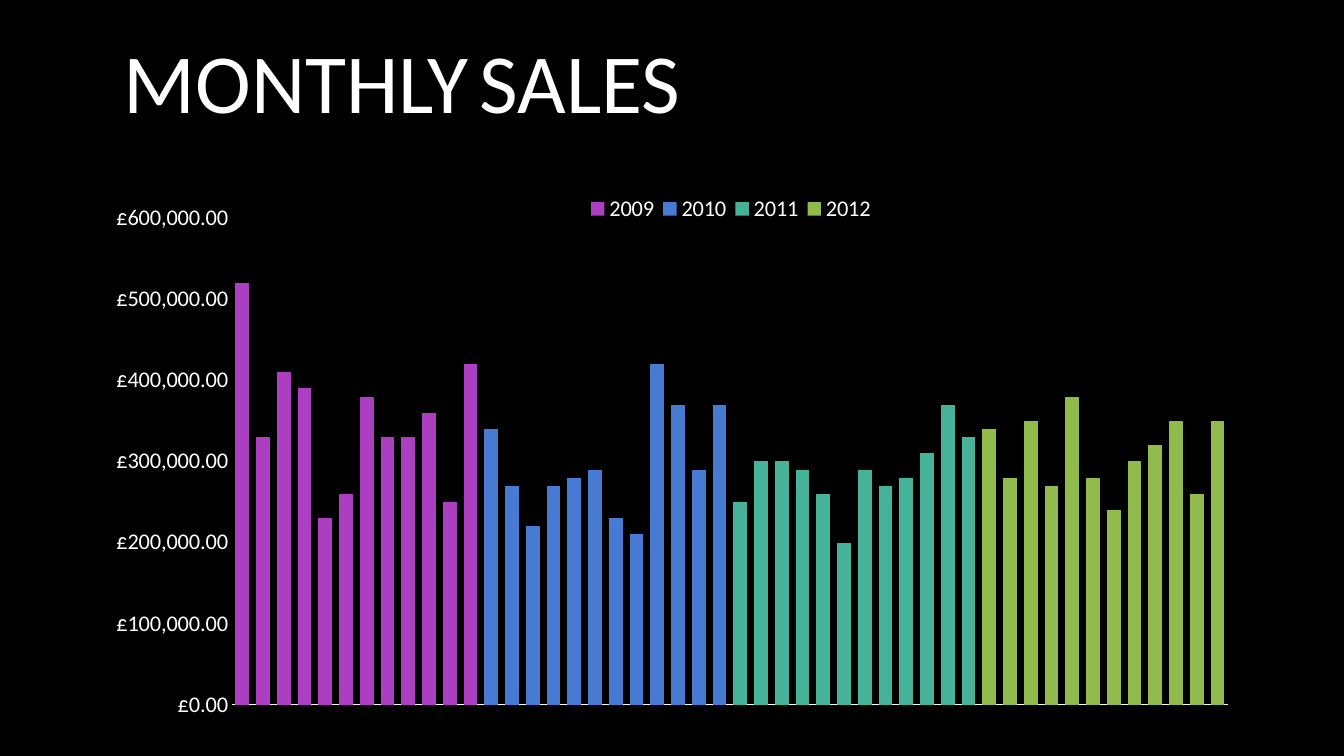
import pptx
import pptx.chart.data
import pptx.dml.color
import pptx.enum.chart
import pptx.enum.text
import pptx.oxml
import pptx.oxml.ns
import pptx.util

# Content: monthly sales in thousands of pounds
TITLE = [("MONTHLY", 60), (" ", 36), ("SALES", 60)]
SALES = {
    "2009": ("AC3EC1", [520, 330, 410, 390, 230, 260, 380, 330, 330, 360, 250, 420]),
    "2010": ("477BD1", [340, 270, 220, 270, 280, 290, 230, 210, 420, 370, 290, 370]),
    "2011": ("46B298", [250, 300, 300, 290, 260, 200, 290, 270, 280, 310, 370, 330]),
    "2012": ("90BA4C", [340, 280, 350, 270, 380, 280, 240, 300, 320, 350, 260, 350]),
}
MONTHS = 12
FONT, WHITE, BLACK = "Calibri", "FFFFFF", "000000"

# Geometry in px: left, top, width, height
SLIDE_SIZE = (1344, 756)
TITLE_BOX = (114, 0, 1117, 160)
CHART_BOX = (93, 149, 1159, 582)
PLOT_BOX = (232, 218, 996, 487)
LEGEND_BOX = (582, 195, 298, 28)


def px(length):
    return round(length * 914400 / 100.8)


def color(hex_value):
    return pptx.dml.color.RGBColor.from_string(hex_value)


def apply(target, values):
    for name, value in values.items():
        setattr(target, name, value)


def style_font(font, size):
    apply(font, {"size": pptx.util.Pt(size), "name": FONT, "bold": False})
    font.color.rgb = color(WHITE)


def manual_layout(box, inner=False):
    """Express a px box as fractions of the chart frame."""
    left, top, width, height = CHART_BOX
    fractions = {
        "x": (box[0] - left) / width,
        "y": (box[1] - top) / height,
        "w": box[2] / width,
        "h": box[3] / height,
    }
    target = '<c:layoutTarget val="inner"/>' if inner else ""
    modes = '<c:xMode val="edge"/><c:yMode val="edge"/>'
    places = "".join(f'<c:{key} val="{value:.4f}"/>' for key, value in fractions.items())
    return pptx.oxml.parse_xml(
        f'<c:layout {pptx.oxml.ns.nsdecls("c")}><c:manualLayout>'
        f"{target}{modes}{places}</c:manualLayout></c:layout>"
    )


# Slide
presentation = pptx.Presentation()
apply(presentation, {"slide_width": px(SLIDE_SIZE[0]), "slide_height": px(SLIDE_SIZE[1])})
slide = presentation.slides.add_slide(presentation.slide_layouts[6])
slide.background.fill.solid()
slide.background.fill.fore_color.rgb = color(BLACK)

# Title
title = slide.shapes.add_textbox(*map(px, TITLE_BOX))
apply(title.text_frame, {
    "word_wrap": True,
    "vertical_anchor": pptx.enum.text.MSO_ANCHOR.MIDDLE,
})
for text, size in TITLE:
    run = title.text_frame.paragraphs[0].add_run()
    run.text = text
    style_font(run.font, size)

# Chart data: each year fills its own twelve of the categories
month_count = MONTHS * len(SALES)
chart_data = pptx.chart.data.CategoryChartData()
chart_data.categories = [str(month + 1) for month in range(month_count)]
for index, (year, (_, thousands)) in enumerate(SALES.items()):
    values = [None] * month_count
    start = index * MONTHS
    values[start:start + MONTHS] = [value * 1000 for value in thousands]
    chart_data.add_series(year, values)

# Chart
chart = slide.shapes.add_chart(
    pptx.enum.chart.XL_CHART_TYPE.COLUMN_CLUSTERED, *map(px, CHART_BOX), chart_data
).chart
apply(chart, {"has_title": False, "has_legend": True})
style_font(chart.font, 10)
plot = chart.plots[0]
apply(plot, {"gap_width": 50, "overlap": 100, "vary_by_categories": False})
for series, (fill_color, _) in zip(plot.series, SALES.values()):
    series.format.fill.solid()
    series.format.fill.fore_color.rgb = color(fill_color)
    series.invert_if_negative = False

# Axes
for axis in (chart.category_axis, chart.value_axis):
    apply(axis, {
        "has_major_gridlines": False,
        "major_tick_mark": pptx.enum.chart.XL_TICK_MARK.NONE,
        "minor_tick_mark": pptx.enum.chart.XL_TICK_MARK.NONE,
    })
    style_font(axis.tick_labels.font, 16)
chart.category_axis.tick_label_position = pptx.enum.chart.XL_TICK_LABEL_POSITION.NONE
chart.category_axis.format.line.color.rgb = color(WHITE)
chart.category_axis.format.line.width = pptx.util.Pt(0.75)
apply(chart.value_axis, {"minimum_scale": 0, "maximum_scale": 600000, "major_unit": 100000})
chart.value_axis.format.line.fill.background()
apply(chart.value_axis.tick_labels, {
    "number_format": '"£"#,##0.00',
    "number_format_is_linked": False,
})

# Legend and plot placement
apply(chart.legend, {
    "position": pptx.enum.chart.XL_LEGEND_POSITION.TOP,
    "include_in_layout": False,
})
style_font(chart.legend.font, 16)
qn = pptx.oxml.ns.qn
chart_element = chart.element.find(qn("c:chart"))
plot_area, legend = (chart_element.find(qn(tag)) for tag in ("c:plotArea", "c:legend"))
for parent in (plot_area, legend):
    for layout in parent.findall(qn("c:layout")):
        parent.remove(layout)
plot_area.insert(0, manual_layout(PLOT_BOX, inner=True))
legend.find(qn("c:legendPos")).addnext(manual_layout(LEGEND_BOX))

presentation.save("out.pptx")
